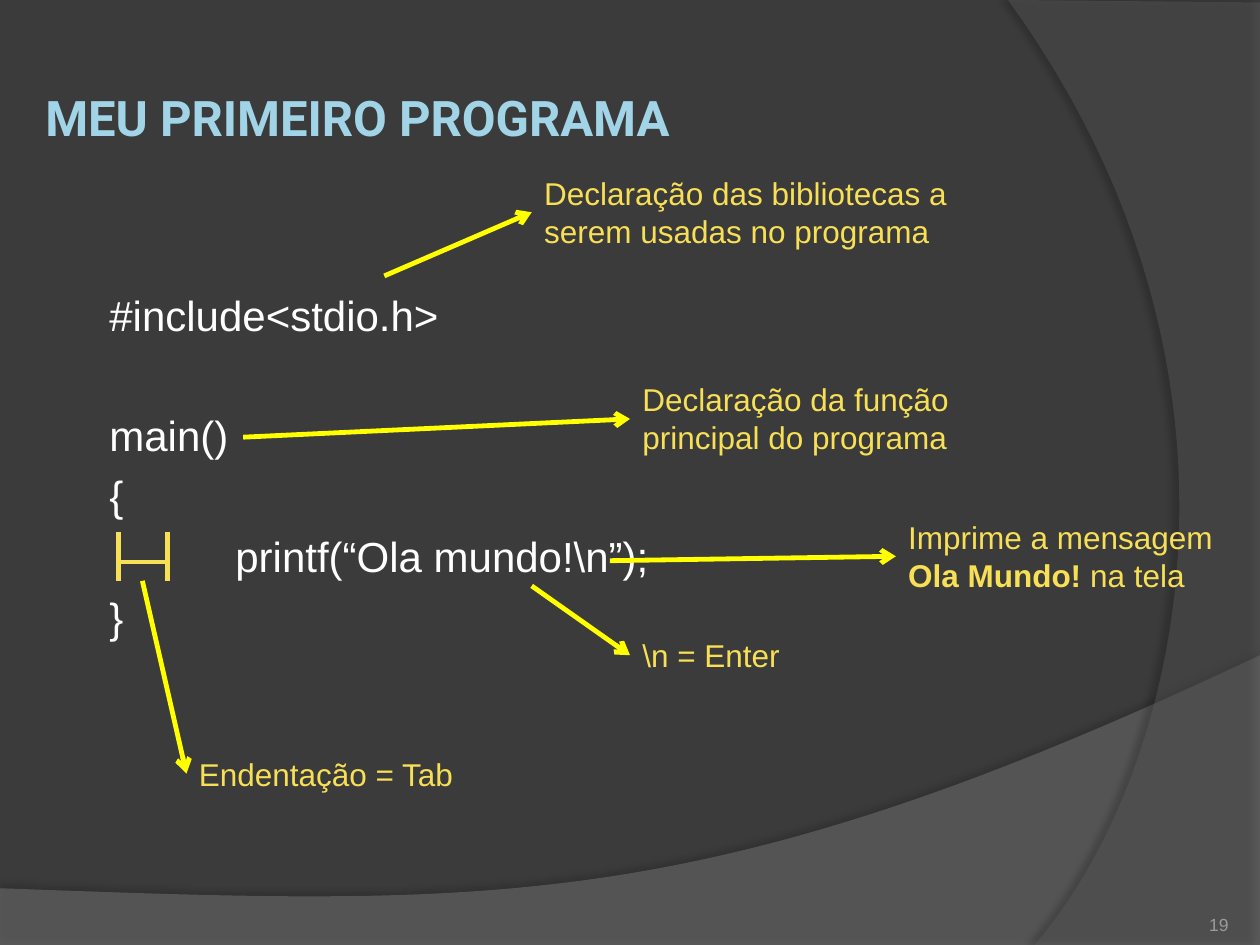
import pptx
import pptx.util
import pptx.dml.color
import pptx.enum.shapes
import pptx.enum.text
import pptx.oxml
import pptx.oxml.ns

Inches, Pt = pptx.util.Inches, pptx.util.Pt
ALIGN, ANCHOR = pptx.enum.text.PP_ALIGN, pptx.enum.text.MSO_ANCHOR
FIT = pptx.enum.text.MSO_AUTO_SIZE
NS = pptx.oxml.ns.nsdecls("a")

COLORS = {
    "background": "3B3B3B", "wave": "7F7F7F", "arc": "5E5E5E",
    "title": "A1D4E7", "code": "FFFFFF", "note": "F7DF56",
    "arrow": "FFFF00", "number": "9D9B9A",
}

# Content
TITLE = "MEU PRIMEIRO PROGRAMA"
NUMBER = "19"
# text, indent level, blank lines above
CODE = [
    ("#include<stdio.h>", 0, 0),
    ("main()", 0, 1),
    ("{", 0, 0),
    ("printf(“Ola mundo!\\n”);", 1, 0),
    ("}", 0, 0),
]
# runs (text, bold), box, arrow start; each arrow ends at its note's left side
NOTES = [
    ([("Declaração das bibliotecas a serem usadas no programa", False)],
     (4.22, 1.33, 3.44, 0.71), (3.05, 2.19)),
    ([("Declaração da função principal do programa", False)],
     (5, 2.97, 2.66, 0.71), (1.93, 3.47)),
    ([("Imprime a mensagem ", False), ("Ola Mundo!", True), (" na tela", False)],
     (7.11, 4.06, 2.66, 0.71), (4.84, 4.45)),
    ([("\\n = Enter", False)], (5, 5, 1.33, 0.4), (4.22, 4.65)),
    ([("Endentação = Tab", False)], (1.48, 5.94, 2.27, 0.4), (1.13, 4.61)),
]
# Tab width marker
LEFT, RIGHT, TOP, BOTTOM, BAR = 0.94, 1.33, 4.22, 4.61, 4.46
MARKER = [(LEFT, TOP, LEFT, BOTTOM), (RIGHT, TOP, RIGHT, BOTTOM),
          (LEFT, BAR, RIGHT, BAR)]


def rgb(name):
    return pptx.dml.color.RGBColor.from_string(COLORS[name])


def write(para, text, size=18, color="note", font="Arial", bold=False):
    span = para.add_run()
    span.text = text
    span.font.size, span.font.name, span.font.bold = Pt(size), font, bold
    span.font.color.rgb = rgb(color)


def add_box(slide, place, inset=None):
    box = slide.shapes.add_textbox(*map(Inches, place))
    frame = box.text_frame
    frame.word_wrap = True
    if inset is not None:
        set_insets(frame, inset)
    return box


def set_insets(frame, inset):
    frame.margin_left = frame.margin_right = Inches(inset)
    frame.margin_top = frame.margin_bottom = Inches(inset)


def add_line(slide, ends, color):
    line = slide.shapes.add_connector(
        pptx.enum.shapes.MSO_CONNECTOR.STRAIGHT, *map(Inches, ends))
    line.line.color.rgb, line.line.width = rgb(color), Pt(2.75)
    line._element.spPr.append(pptx.oxml.parse_xml(f"<a:effectLst {NS}/>"))
    return line


def curve(start, first, second, end, steps=48):
    """Points along a cubic curve, without its start."""
    points = []
    for step in range(1, steps + 1):
        t = step / steps
        weights = ((1 - t) ** 3, 3 * t * (1 - t) ** 2, 3 * t * t * (1 - t), t ** 3)
        points.append(tuple(
            sum(w * p[axis] for w, p in zip(weights, (start, first, second, end)))
            for axis in (0, 1)))
    return points


def add_sweep(slide, points, color, opacity, shadow, distance, angle):
    builder = slide.shapes.build_freeform(
        Inches(points[0][0]), Inches(points[0][1]), scale=1.0)
    builder.add_line_segments([(Inches(x), Inches(y)) for x, y in points[1:]])
    shape = builder.convert_to_shape()
    shape.fill.solid()
    shape.fill.fore_color.rgb = rgb(color)
    shape.line.fill.background()
    properties = shape._element.spPr
    properties.find(".//" + pptx.oxml.ns.qn("a:srgbClr")).append(
        pptx.oxml.parse_xml(f'<a:alpha {NS} val="{opacity * 1000}"/>'))
    properties.append(pptx.oxml.parse_xml(
        f'<a:effectLst {NS}><a:outerShdw blurRad="{Pt(4)}" dist="{Pt(distance)}" '
        f'dir="{angle * 60000}" algn="ctr" rotWithShape="0"><a:srgbClr val="000000">'
        f'<a:alpha val="{shadow * 1000}"/></a:srgbClr></a:outerShdw></a:effectLst>'))


def main():
    deck = pptx.Presentation()
    deck.slide_width, deck.slide_height = Inches(10), Inches(7.5)
    slide = deck.slides.add_slide(deck.slide_layouts[5])
    slide.background.fill.solid()
    slide.background.fill.fore_color.rgb = rgb("background")

    # Background sweeps
    add_sweep(slide, [(0, 7.05), (0, 7.51), (10, 7.51), (10, 5.2)]
              + curve((10, 5.2), (5.59, 7.29), (3.91, 7.19), (0, 7.05)),
              "wave", 45, 35, 3.5, 270)
    add_sweep(slide, [(10, 0.02), (10, 7.5), (8.21, 7.5)]
              + curve((8.21, 7.5), (9.35, 6.19), (10.18, 3), (8, 0)) + [(10, 0.02)],
              "arc", 40, 45, 4, 180)

    # Title
    title = slide.shapes.title
    title.left, title.top, title.width, title.height = map(
        Inches, (0.31, 0.3, 9.38, 1.25))
    frame = title.text_frame
    frame.auto_size, frame.vertical_anchor = FIT.NONE, ANCHOR.MIDDLE
    set_insets(frame, 0.05)
    frame.paragraphs[0].alignment = ALIGN.LEFT
    write(frame.paragraphs[0], TITLE, size=28, color="title", font="Roboto", bold=True)

    # Program code
    gap, pitch = 5.9, 33.5
    frame = add_box(slide, (0.31, 2.25, 9.38, 4.45)).text_frame
    for index, (text, level, blanks) in enumerate(CODE):
        para = frame.add_paragraph() if index else frame.paragraphs[0]
        para._p.get_or_add_pPr().set("marL", str(Inches(0.46 + level)))
        if index:
            para.space_before = Pt(gap + blanks * pitch)
        write(para, text, size=24, color="code")

    # Notes and their arrows
    for runs, place, start in NOTES:
        box = add_box(slide, place)
        box.text_frame.auto_size = FIT.SHAPE_TO_FIT_TEXT
        for text, bold in runs:
            write(box.text_frame.paragraphs[0], text, bold=bold)
        left, top, _, height = place
        arrow = add_line(slide, (*start, left, top + height / 2), "arrow")
        arrow.end_connect(box, 1)
        arrow.line._get_or_add_ln().append(
            pptx.oxml.parse_xml(f'<a:tailEnd {NS} type="arrow"/>'))

    # Tab width marker
    for ends in MARKER:
        add_line(slide, ends, "note")

    # Slide number
    frame = add_box(slide, (8.92, 7.02, 0.83, 0.4), inset=0).text_frame
    frame.vertical_anchor = ANCHOR.BOTTOM
    frame.paragraphs[0].alignment = ALIGN.RIGHT
    write(frame.paragraphs[0], NUMBER, size=10, color="number")

    deck.save("out.pptx")


if __name__ == "__main__":
    main()
